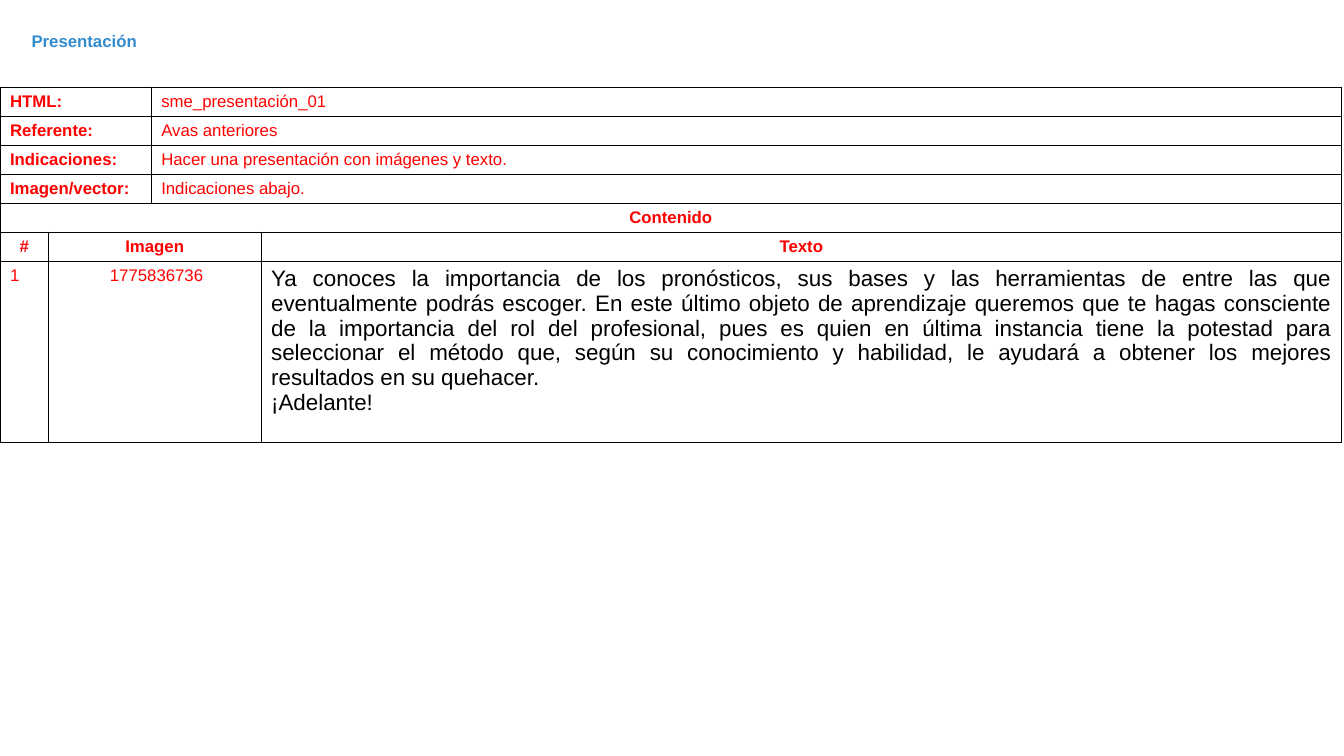
from lxml import etree
from pptx import Presentation
from pptx.dml.color import RGBColor
from pptx.enum.text import MSO_ANCHOR, MSO_AUTO_SIZE, PP_ALIGN
from pptx.oxml.ns import qn
from pptx.util import Cm, Pt

LEFT, CENTER, JUSTIFY = PP_ALIGN.LEFT, PP_ALIGN.CENTER, PP_ALIGN.JUSTIFY
TOP = MSO_ANCHOR.TOP
NO_FIT = MSO_AUTO_SIZE.NONE
TITLE_ONLY = 5

COLORS = {"title": "338DCD", "label": "FF0000", "body": "000000",
          "border": "000000", "paper": "FFFFFF"}

COLUMN_WIDTHS = [1.22, 2.59, 2.77, 27.23]
ROW_HEIGHTS = [0.73] * 6 + [4.57]
DETAILS = [
    ("HTML:", "sme_presentación_01"),
    ("Referente:", "Avas anteriores"),
    ("Indicaciones:", "Hacer una presentación con imágenes y texto."),
    ("Imagen/vector:", "Indicaciones abajo."),
]
HEADINGS = [(0, 0, "#"), (1, 2, "Imagen"), (3, 3, "Texto")]
MESSAGE = [
    "Ya conoces la importancia de los pronósticos, sus bases y las herramientas "
    "de entre las que eventualmente podrás escoger. En este último objeto de "
    "aprendizaje queremos que te hagas consciente de la importancia del rol del "
    "profesional, pues es quien en última instancia tiene la potestad para "
    "seleccionar el método que, según su conocimiento y habilidad, le ayudará a "
    "obtener los mejores resultados en su quehacer.",
    "¡Adelante!",
]


class SlideBuilder:
    font_name = "Arial"
    border_width = Pt(1)

    def __init__(self, deck):
        self.slide = deck.slides.add_slide(deck.slide_layouts[TITLE_ONLY])

    def add_text(self, frame, lines, color="label", size=12, bold=False, align=LEFT):
        style = {"name": self.font_name, "size": Pt(size), "bold": bold}
        for index, line in enumerate(lines):
            para = frame.add_paragraph() if index else frame.paragraphs[0]
            para.alignment = align
            span = para.add_run()
            span.text = line
            for key, value in style.items():
                setattr(span.font, key, value)
            span.font.color.rgb = RGBColor.from_string(COLORS[color])

    def title(self, text, left, top, width, height):
        box = self.slide.shapes.title
        place = {"left": left, "top": top, "width": width, "height": height}
        for key, value in place.items():
            setattr(box, key, Cm(value))
        frame = box.text_frame
        layout = {"word_wrap": True, "auto_size": NO_FIT, "vertical_anchor": TOP}
        for key, value in layout.items():
            setattr(frame, key, value)
        self.add_text(frame, [text], color="title", bold=True, align=JUSTIFY)

    def table(self, left, top, widths, heights):
        frame = self.slide.shapes.add_table(
            len(heights), len(widths), Cm(left), Cm(top),
            Cm(sum(widths)), Cm(sum(heights)))
        table = frame.table
        table.first_row = table.horz_banding = False
        for column, width in zip(table.columns, widths):
            column.width = Cm(width)
        for row, height in zip(table.rows, heights):
            row.height = Cm(height)
        for cell in table.iter_cells():
            cell.fill.solid()
            cell.fill.fore_color.rgb = RGBColor.from_string(COLORS["paper"])
            self.border(cell)
        return table

    def border(self, cell):
        properties = cell._tc.get_or_add_tcPr()
        for index, side in enumerate(("lnL", "lnR", "lnT", "lnB")):
            line = etree.Element(qn(f"a:{side}"), w=str(self.border_width))
            fill = etree.SubElement(line, qn("a:solidFill"))
            etree.SubElement(fill, qn("a:srgbClr"), val=COLORS["border"])
            properties.insert(index, line)

    def cell(self, table, row, first, last, lines, **style):
        cell = table.cell(row, first)
        if last > first:
            cell.merge(table.cell(row, last))
        self.add_text(cell.text_frame, lines, **style)
        return cell


def main():
    deck = Presentation()
    deck.slide_width, deck.slide_height = Cm(33.87), Cm(19.05)
    page = SlideBuilder(deck)
    page.title("Presentación", 0.54, 0.64, 32.72, 2.3)
    table = page.table(0, 2.2, COLUMN_WIDTHS, ROW_HEIGHTS)
    heading = {"bold": True, "align": CENTER}

    for row, (label, value) in enumerate(DETAILS):
        page.cell(table, row, 0, 1, [label], bold=True)
        page.cell(table, row, 2, 3, [value])
    page.cell(table, 4, 0, 3, ["Contenido"], **heading)
    for first, last, text in HEADINGS:
        page.cell(table, 5, first, last, [text], **heading)
    page.cell(table, 6, 0, 0, ["1"])
    image = page.cell(table, 6, 1, 2, ["1775836736"])
    image.margin_left = Cm(1.55)
    page.cell(table, 6, 3, 3, MESSAGE, color="body", size=16, align=JUSTIFY)

    deck.save("out.pptx")


if __name__ == "__main__":
    main()
